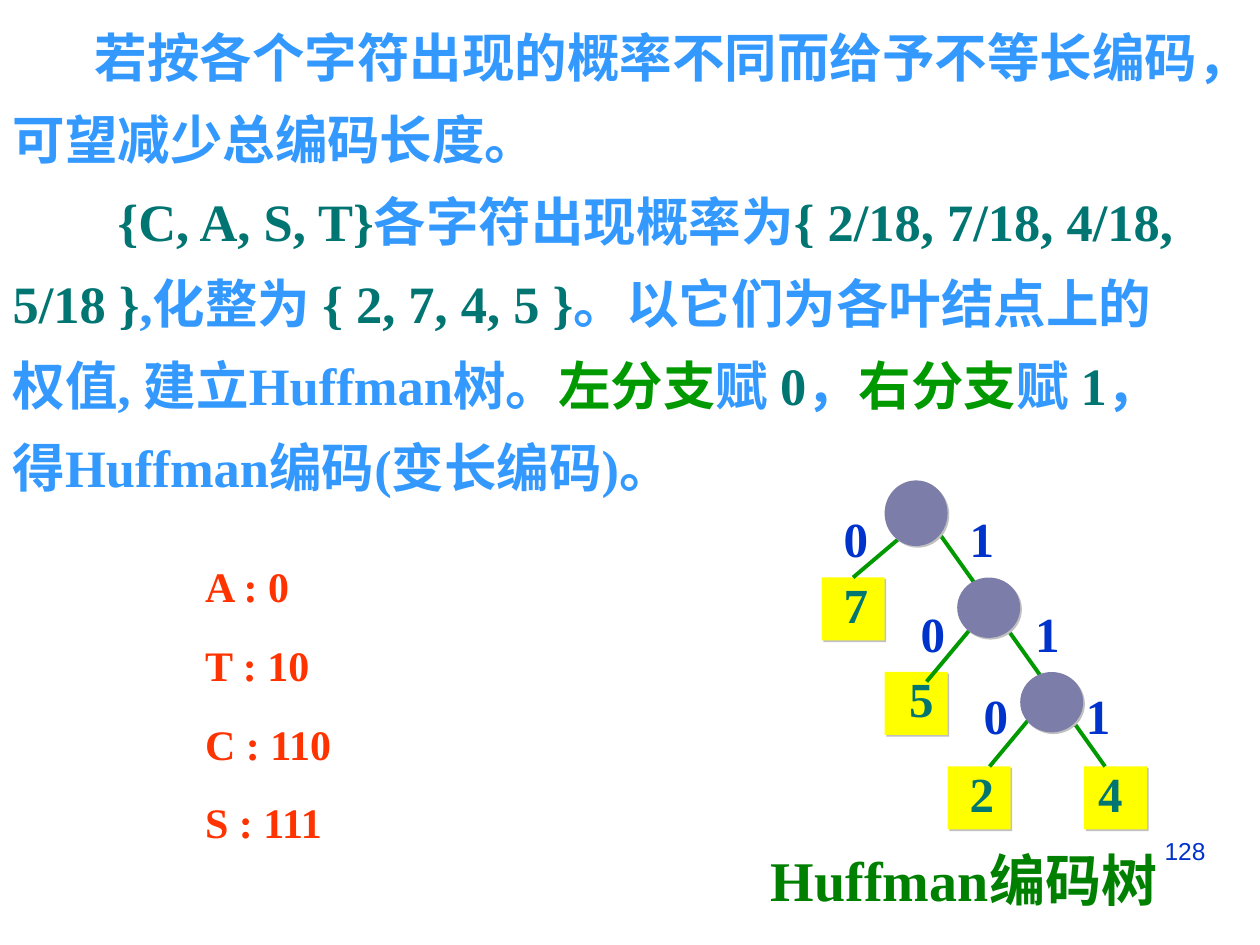
from lxml.etree import SubElement
from pptx import Presentation
from pptx.dml.color import RGBColor
from pptx.enum.shapes import MSO_CONNECTOR, MSO_SHAPE
from pptx.enum.text import MSO_ANCHOR, MSO_AUTO_SIZE, PP_ALIGN
from pptx.oxml.ns import qn
from pptx.util import Pt

SKY = RGBColor(0x33, 0x99, 0xFF)
TEAL = RGBColor(0x00, 0x75, 0x72)
GREEN = RGBColor(0x00, 0x99, 0x00)
DARK_GREEN = RGBColor(0x00, 0x80, 0x00)
BLUE = RGBColor(0x00, 0x33, 0xCC)
RED = RGBColor(0xFF, 0x33, 0x00)
YELLOW = RGBColor(0xFF, 0xFF, 0x00)
SLATE = RGBColor(0x7D, 0x7D, 0xA9)
SERIF = "Times New Roman"
TWO_CONTENT = 3

EXPLANATION = [
    (47, [("若按各个字符出现的概率不同而给予不等长编码，可望减少总编码长度。", SKY)]),
    (60, [
        ("{C, A, S, T}", TEAL),
        ("各字符出现概率为", SKY),
        ("{ 2/18, 7/18, 4/18, 5/18 }", TEAL),
        (",化整为 ", SKY),
        ("{ 2, 7, 4, 5 }", TEAL),
        ("。以它们为各叶结点上的权值, 建立Huffman树。", SKY),
        ("左分支", GREEN),
        ("赋 ", SKY),
        ("0", TEAL),
        ("，", SKY),
        ("右分支", GREEN),
        ("赋 ", SKY),
        ("1", TEAL),
        ("，得Huffman编码(变长编码)。", SKY),
    ]),
]
CODES = ["A : 0", "T : 10", "C : 110", "S : 111"]


class SlideBuilder:
    def __init__(self, slide):
        self.slide = slide
        self.shapes = slide.shapes

    def start_group(self):
        self.shapes = self.slide.shapes.add_group_shape().shapes

    def end_group(self):
        self.shapes = self.slide.shapes

    def run(self, paragraph, text, size, color, font=SERIF, bold=True):
        run = paragraph.add_run()
        run.text = text
        run.font.name = font
        run.font.size = Pt(size)
        run.font.bold = bold
        run.font.color.rgb = color

    def body(self, index, box, paragraphs, size, line_spacing, gap=0, wrap=True):
        """Fill a body placeholder; each paragraph is (first-line indent, runs)."""
        body = self.slide.placeholders[index]
        body.left, body.top, body.width, body.height = map(Pt, box)
        frame = body.text_frame
        frame.auto_size = MSO_AUTO_SIZE.NONE
        frame.word_wrap = wrap
        for number, (indent, runs) in enumerate(paragraphs):
            paragraph = frame.add_paragraph() if number else frame.paragraphs[0]
            properties = paragraph._p.get_or_add_pPr()
            properties.set("marL", "0")
            properties.set("indent", str(Pt(indent)))
            SubElement(properties, qn("a:buNone"))
            paragraph.line_spacing = line_spacing
            paragraph.space_before = Pt(gap if number else 0)
            for text, color in runs:
                self.run(paragraph, text, size, color)

    def text(self, box, text, size, color, align=PP_ALIGN.LEFT, **font):
        frame = self.shapes.add_textbox(*map(Pt, box)).text_frame
        frame.word_wrap = True
        frame.paragraphs[0].alignment = align
        self.run(frame.paragraphs[0], text, size, color, **font)
        return frame

    def digit(self, center_x, center_y, text, color):
        box = (center_x - 14, center_y - 20.5, 28, 41)
        frame = self.text(box, text, 28, color, PP_ALIGN.CENTER)
        frame.word_wrap = False
        frame.vertical_anchor = MSO_ANCHOR.MIDDLE

    def node(self, kind, color, left, top, height=36):
        node = self.shapes.add_shape(kind, Pt(left), Pt(top), Pt(36), Pt(height))
        node.fill.solid()
        node.fill.fore_color.rgb = color
        node.line.fill.background()
        node.shadow.inherit = False
        effects = node._element.spPr.find(qn("a:effectLst"))
        shadow = SubElement(effects, qn("a:outerShdw"), blurRad="0",
                            dist=str(Pt(1.4)), dir="2700000", algn="ctr", rotWithShape="0")
        SubElement(shadow, qn("a:srgbClr"), val="C0C0C0")
        return node

    def branch(self, start_x, start_y, end_x, end_y):
        branch = self.shapes.add_connector(
            MSO_CONNECTOR.STRAIGHT, Pt(start_x), Pt(start_y), Pt(end_x), Pt(end_y))
        branch.line.color.rgb = GREEN
        branch.line.width = Pt(2.25)
        SubElement(branch._element.spPr, qn("a:effectLst"))
        return branch


def draw_tree(builder):
    builder.start_group()
    leaves = [builder.node(MSO_SHAPE.RECTANGLE, YELLOW, 469.5 + 36 * level, 330 + 54 * level)
              for level in range(3)]
    builder.node(MSO_SHAPE.RECTANGLE, YELLOW, 619.5, 438)

    left_branches = [builder.branch(x, y, x - 30, y + 36)
                     for x, y in [(517, 305), (559.5, 353.5), (595.5, 402)]]
    left_branches[0].end_connect(leaves[0], 0)
    builder.branch(529, 294, 631.5, 438)

    for left, top, height in [(505.5, 274.5, 37.5), (547, 330, 34.5), (583, 384, 34.5)]:
        builder.node(MSO_SHAPE.OVAL, SLATE, left, top, height)

    for x, y, weight in [(489, 345, "7"), (526.5, 399, "5"), (561, 453, "2"), (634.5, 453, "4")]:
        builder.digit(x, y, weight, TEAL)
    for zero_x, one_x, y in [(489, 561, 307.5), (533, 598.5, 361.5), (569, 627.5, 408.5)]:
        builder.digit(zero_x, y, "0", BLUE)
        builder.digit(one_x, y, "1", BLUE)
    builder.end_group()


def main():
    presentation = Presentation()
    presentation.slide_width, presentation.slide_height = Pt(720), Pt(540)
    slide = presentation.slides.add_slide(presentation.slide_layouts[TWO_CONTENT])
    title = slide.shapes.title._element
    title.getparent().remove(title)

    builder = SlideBuilder(slide)
    builder.body(1, (0, 0, 695, 288), EXPLANATION, 30, 1.3)
    builder.body(2, (110, 309.5, 111.5, 178.5), [(0, [(code, RED)]) for code in CODES],
                 24, 1.25, gap=9, wrap=False)
    draw_tree(builder)
    builder.text((433.5, 479.5, 246, 46), "Huffman编码树", 32, DARK_GREEN)
    builder.text((516, 474, 180, 37.5), "128", 14, BLUE, PP_ALIGN.RIGHT,
                 font="Arial", bold=False)
    presentation.save("out.pptx")


if __name__ == "__main__":
    main()
